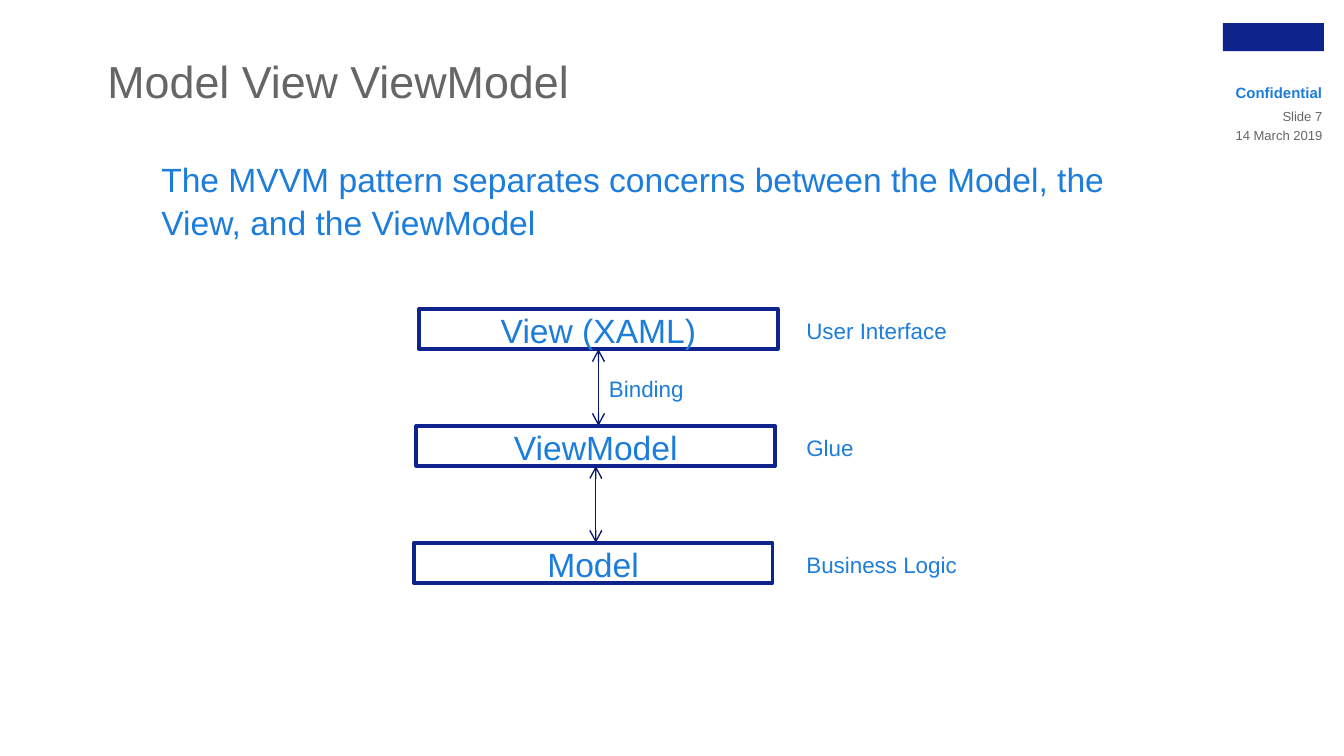
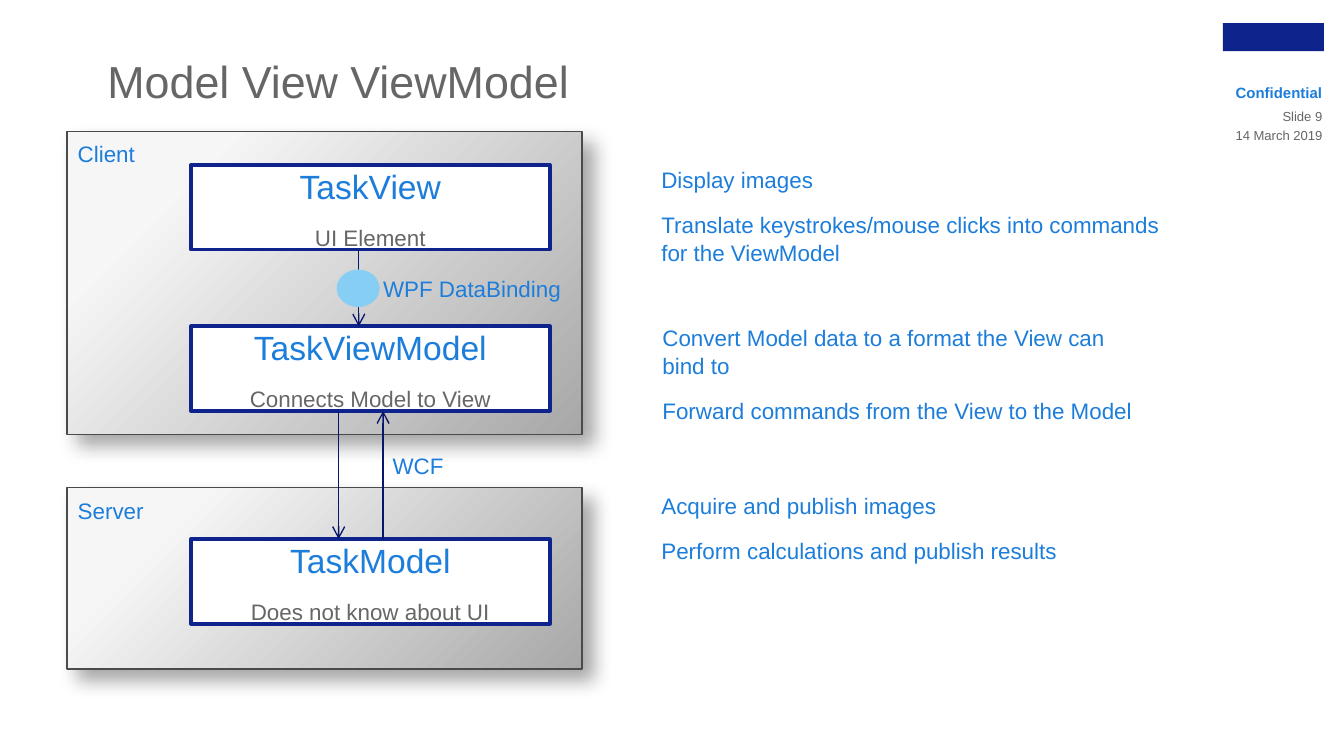
import dataclasses
import typing

import lxml.etree
import pptx
import pptx.dml.color
import pptx.enum.shapes
import pptx.enum.text
import pptx.oxml.ns
import pptx.util

Cm = pptx.util.Cm
Pt = pptx.util.Pt
Shape = pptx.enum.shapes.MSO_SHAPE
Align = pptx.enum.text.PP_ALIGN
Anchor = pptx.enum.text.MSO_ANCHOR
qn = pptx.oxml.ns.qn

# Shared look
FONT = "Arial"
BLUE, GREY, NAVY, INK = "1C7DDB", "666666", "0F238C", "06166A"
SKY, WHITE, EDGE = "86CEF4", "FFFFFF", "4A4A4A"
LEAD = 1.05
BOX_W = 6.78
ROW_H = 0.51


class Area(typing.NamedTuple):
    """Place and size in centimetres."""
    left: float
    top: float
    width: float
    height: float


@dataclasses.dataclass
class Line:
    text: str
    size: float = 12
    color: str = BLUE
    bold: bool = False
    after: float = 9


@dataclasses.dataclass
class Block:
    area: Area
    lines: list[Line]


@dataclasses.dataclass
class Arrow:
    start: tuple[float, float]
    end: tuple[float, float]
    both: bool = False


def rgb(code: str) -> pptx.dml.color.RGBColor:
    return pptx.dml.color.RGBColor.from_string(code)


def lengths(area: Area) -> list[pptx.util.Length]:
    return [Cm(part) for part in area]


def add_node(parent, tag: str, **attrs):
    return lxml.etree.SubElement(parent, qn(tag), attrs)


def write(frame, lines: list[Line], align=Align.LEFT, anchor=Anchor.TOP) -> None:
    frame.word_wrap = True
    frame.vertical_anchor = anchor
    frame.margin_left = frame.margin_right = 0
    frame.margin_top = frame.margin_bottom = 0
    for index, line in enumerate(lines):
        para = frame.add_paragraph() if index else frame.paragraphs[0]
        para.text = line.text
        para.alignment = align
        para.line_spacing = LEAD
        para.space_after = Pt(line.after)
        para.font.name = FONT
        para.font.size = Pt(line.size)
        para.font.bold = line.bold
        para.font.color.rgb = rgb(line.color)


def add_text(slide, block: Block, align=Align.LEFT) -> None:
    box = slide.shapes.add_textbox(*lengths(block.area))
    write(box.text_frame, block.lines, align)


def add_plain(slide, kind, area: Area, fill: str, edge: str):
    shape = slide.shapes.add_shape(kind, *lengths(area))
    shape.shadow.inherit = False
    shape.fill.solid()
    shape.fill.fore_color.rgb = rgb(fill)
    shape.line.color.rgb = rgb(edge)
    shape.line.width = Pt(2)
    return shape


def add_box(slide, block: Block):
    box = add_plain(slide, Shape.RECTANGLE, block.area, WHITE, NAVY)
    write(box.text_frame, block.lines, Align.CENTER, Anchor.MIDDLE)
    return box


def add_panel(slide, area: Area) -> None:
    panel = add_plain(slide, Shape.RECTANGLE, area, WHITE, EDGE)
    panel.line.width = Pt(0.75)

    # Round shading that starts at the top left corner
    panel.fill.gradient()
    shades = [(0.2, "F6F6F6"), (1, "A8A8A8")]
    for stop, (place, color) in zip(panel.fill.gradient_stops, shades):
        stop.position = place
        stop.color.rgb = rgb(color)
    props = panel.element.spPr
    grad = props.find(qn("a:gradFill"))
    for old in grad.findall(qn("a:lin")):
        grad.remove(old)
    round_fill = add_node(grad, "a:path", path="circle")
    add_node(round_fill, "a:fillToRect", l="-15000", t="-15000", r="115000", b="115000")

    # Soft shadow to the lower right
    shade = add_node(props.find(qn("a:effectLst")), "a:outerShdw",
                     blurRad=str(Pt(10.2)), dist=str(Pt(8)), dir="2700000",
                     algn="tl", rotWithShape="0")
    black = add_node(shade, "a:srgbClr", val="000000")
    add_node(black, "a:alpha", val="35000")


def add_arrow(slide, arrow: Arrow):
    kind = pptx.enum.shapes.MSO_CONNECTOR.STRAIGHT
    points = [Cm(part) for part in arrow.start + arrow.end]
    link = slide.shapes.add_connector(kind, *points)
    link.line.color.rgb = rgb(INK)
    link.line.width = Pt(0.75)
    props = link.element.spPr
    stroke = props.find(qn("a:ln"))
    if arrow.both:
        add_node(stroke, "a:headEnd", type="arrow")
    add_node(stroke, "a:tailEnd", type="arrow")
    add_node(props, "a:effectLst")
    return link


def add_page(deck, number: int):
    """A blank slide with the title, the brand mark and the side notes."""
    slide = deck.slides.add_slide(deck.slide_layouts[6])
    mark = Area(23.11, 0.44, 1.91, 0.53)
    add_plain(slide, Shape.RECTANGLE, mark, NAVY, NAVY).line.fill.background()
    title = Line("Model View ViewModel", 24, GREY, after=0)
    add_text(slide, Block(Area(2.03, 0.97, 20.47, 1.55), [title]))
    notes = [
        (1.57, Line("Confidential", 8, BLUE, True, 0)),
        (2.03, Line(f"Slide {number}", 7, GREY, after=0)),
        (2.39, Line("14 March 2019", 7, GREY, after=0)),
    ]
    for top, line in notes:
        add_text(slide, Block(Area(22.91, top, 2.08, 0.25), [line]), Align.RIGHT)
    return slide


def draw_pattern(deck) -> None:
    slide = add_page(deck, 7)
    claim = Line("The MVVM pattern separates concerns between the Model, "
                 "the View, and the ViewModel", 18, after=6)
    add_text(slide, Block(Area(3.05, 2.97, 19.46, 10.31), [claim]))

    # Three layers, each with its role
    layers = [("View (XAML)", "User Interface"), ("ViewModel", "Glue"),
              ("Model", "Business Logic")]
    height, step = 0.76, 2.21
    boxes = []
    for index, (name, role) in enumerate(layers):
        left, top = 7.92 - 0.05 * index, 5.84 + step * index
        area = Area(left, top, BOX_W, height)
        boxes.append(add_box(slide, Block(area, [Line(name, 18)])))
        add_text(slide, Block(Area(15.24, top + 0.13, 5.92, ROW_H), [Line(role)]))

        # Link down to the next layer
        if index < len(layers) - 1:
            mid = left + BOX_W / 2
            link = add_arrow(slide, Arrow((mid, top + height), (mid, top + step), True))
            link.begin_connect(boxes[-1], 2)
    add_text(slide, Block(Area(11.51, 7.06, 1.47, ROW_H), [Line("Binding")]))


def draw_tasks(deck) -> None:
    slide = add_page(deck, 9)

    # Client and server panels
    for name, top, height, gap in [("Server", 9.22, 3.43, 0.15),
                                   ("Client", 2.49, 5.72, 0.13)]:
        add_panel(slide, Area(1.27, top, 9.73, height))
        add_text(slide, Block(Area(1.47, top + gap, 4.45, ROW_H), [Line(name)]))

    # Task boxes
    tasks = [
        (3.12, "TaskView", "UI Element"),
        (6.17, "TaskViewModel", "Connects Model to View"),
        (10.19, "TaskModel", "Does not know about UI"),
    ]
    for top, name, role in tasks:
        lines = [Line(name, 18), Line(role, color=GREY)]
        add_box(slide, Block(Area(3.61, top, BOX_W, 1.6), lines))

    # Links between the boxes
    for arrow in [Arrow((6.78, 4.72), (6.78, 6.17)),
                  Arrow((6.4, 7.77), (6.4, 10.19)),
                  Arrow((7.24, 10.19), (7.24, 7.77))]:
        add_arrow(slide, arrow)
    add_plain(slide, Shape.OVAL, Area(6.4, 5.13, 0.74, 0.64), SKY, SKY)
    add_text(slide, Block(Area(7.24, 5.18, 4.45, ROW_H), [Line("WPF DataBinding")]))
    add_text(slide, Block(Area(7.42, 8.53, 1.47, ROW_H), [Line("WCF")]))

    # Duties of each task
    duties = [
        (Area(12.5, 3.12, 9.53, 1.85),
         ["Display images",
          "Translate keystrokes/mouse clicks into commands for the ViewModel"]),
        (Area(12.52, 6.1, 9.07, 1.85),
         ["Convert Model data to a format the View can bind to",
          "Forward commands from the View to the Model"]),
        (Area(12.5, 9.27, 9.09, 1.35),
         ["Acquire and publish images",
          "Perform calculations and publish results"]),
    ]
    for area, texts in duties:
        add_text(slide, Block(area, [Line(text) for text in texts]))


def main() -> None:
    deck = pptx.Presentation()
    deck.slide_width, deck.slide_height = Cm(25.4), Cm(14.29)
    draw_pattern(deck)
    draw_tasks(deck)
    deck.save("out.pptx")


if __name__ == "__main__":
    main()
